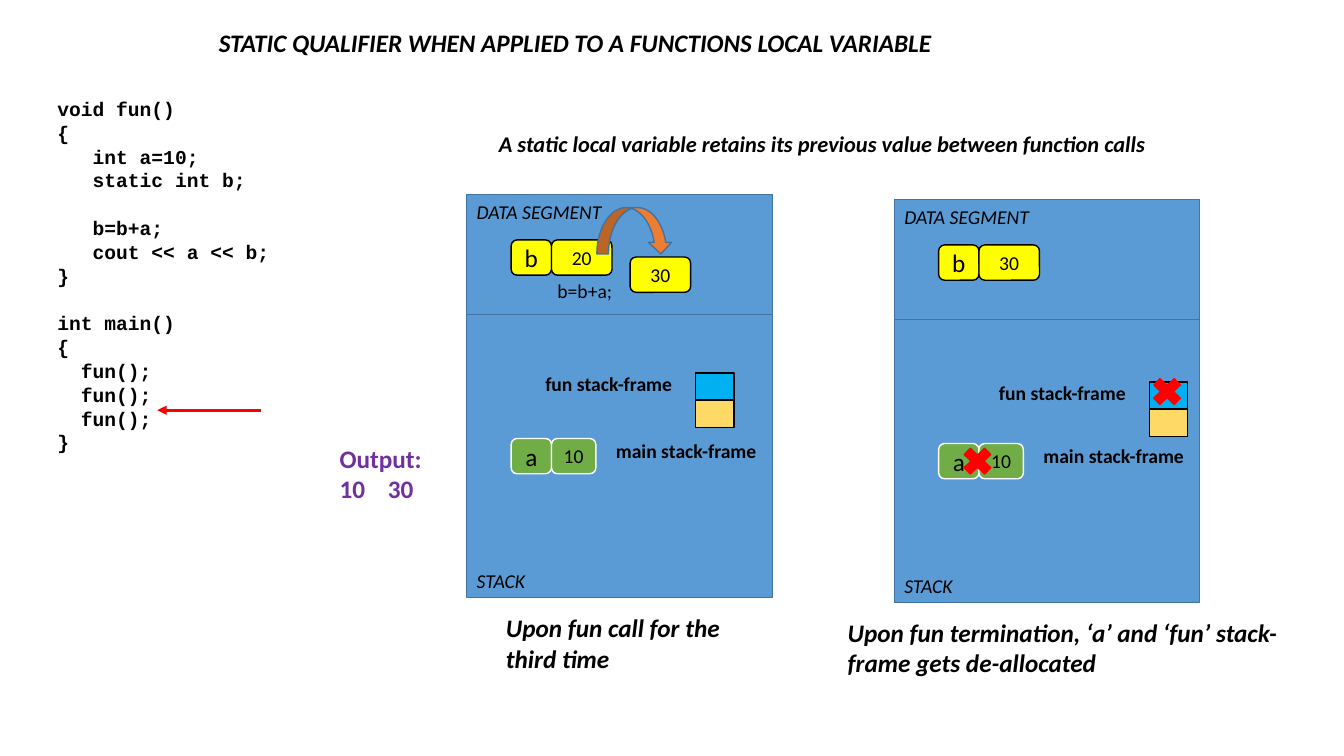
from dataclasses import dataclass

from lxml import etree
from pptx import Presentation
from pptx.dml.color import RGBColor
from pptx.enum.shapes import MSO_CONNECTOR, MSO_SHAPE
from pptx.enum.text import MSO_ANCHOR, PP_ALIGN
from pptx.oxml.ns import qn
from pptx.util import Inches, Pt

RECT, ROUND = MSO_SHAPE.RECTANGLE, MSO_SHAPE.ROUNDED_RECTANGLE
CROSS, CURVED = MSO_SHAPE.MATH_MULTIPLY, MSO_SHAPE.CURVED_DOWN_ARROW
STRAIGHT = MSO_CONNECTOR.STRAIGHT
TOP, MIDDLE = MSO_ANCHOR.TOP, MSO_ANCHOR.MIDDLE
LEFT, CENTER = PP_ALIGN.LEFT, PP_ALIGN.CENTER


@dataclass(frozen=True)
class Theme:
    sans: str = "Calibri"
    mono: str = "Courier New"
    large: int = 18
    medium: int = 16
    small: int = 14
    code_line: int = 17
    black: str = "000000"
    white: str = "FFFFFF"
    memory: str = "5B9BD5"
    edge: str = "43739E"
    static: str = "FFFF00"
    local: str = "70AD47"
    fun_frame: str = "00B0F0"
    main_frame: str = "FFD966"
    change: str = "ED7D31"
    alert: str = "FF0000"
    output: str = "7030A0"


THEME = Theme()
COLUMNS, ROWS = 13.33, 7.5
CELL = Inches(1)

TITLE = "STATIC QUALIFIER WHEN APPLIED TO A FUNCTIONS LOCAL VARIABLE"
RULE = "A static local variable retains its previous value between function calls"
CODE_BLOCKS = [
    ["void fun()", "{", "   int a=10;", "   static int b;"],
    ["   b=b+a;", "   cout << a << b;", "}"],
    ["int main()", "{", "  fun();", "  fun();", "  fun();", "}"],
]
OUTPUT = ["Output:", "10\t30"]
PANELS = [
    {"origin": (4.63, 1.93), "b": "20", "a": "10", "frame": (2.27, 1.77),
     "caption": "Upon fun call for the third time", "caption_at": (4.92, 6.03, 2.39, 0.71)},
    {"origin": (8.87, 1.98), "b": "30", "a": "10", "frame": (2.53, 1.81),
     "caption": "Upon fun termination, ‘a’ and ‘fun’ stack-frame gets de-allocated",
     "caption_at": (8.31, 6.07, 4.5, 0.71)},
]
PANEL_WIDTH, DATA_HEIGHT, STACK_HEIGHT = 3.03, 1.19, 2.81
LABEL_HEIGHT = 0.34
NAME_WIDTH, VALUE_HEIGHT = 0.4, 0.35
STATIC_WIDTH, LOCAL_WIDTH = 0.6, 0.44
FRAME_WIDTH, FRAME_HEIGHT = 0.38, 0.27
CROSS_SIZE = (0.39, 0.37)

deck = Presentation()
deck.slide_width, deck.slide_height = Inches(COLUMNS), Inches(ROWS)
page = deck.slides.add_slide(deck.slide_layouts[5])


def place(*cells):
    return [round(cell * CELL) for cell in cells]


def style(font, color=THEME.black, **formats):
    defaults = {"name": THEME.sans, "size": THEME.small, "bold": False, "italic": False}
    for key, value in (defaults | formats).items():
        setattr(font, key, Pt(value) if key == "size" else value)
    font.color.rgb = RGBColor.from_string(color)


def write(holder, lines, anchor=TOP, align=LEFT, wrap=True, **formats):
    frame = holder.text_frame
    frame.word_wrap, frame.vertical_anchor = wrap, anchor
    for index, line in enumerate(lines):
        para = frame.paragraphs[0] if index == 0 else frame.add_paragraph()
        para.alignment = align
        span = para.add_run()
        span.text = line
        style(span.font, **formats)
    return frame.paragraphs


def label(at, *lines, **formats):
    return write(page.shapes.add_textbox(*place(*at)), lines, **formats)


def draw(kind, at, fill, line=THEME.black):
    shape = page.shapes.add_shape(kind, *place(*at))
    shape.shadow.inherit = False
    shape.fill.solid()
    shape.fill.fore_color.rgb = RGBColor.from_string(fill)
    shape.line.color.rgb = RGBColor.from_string(line)
    shape.line.width = Pt(1)
    return shape


def value_box(left, top, width, text, fill, line, size=THEME.small):
    box = draw(ROUND, (left, top, width, VALUE_HEIGHT), fill, line)
    write(box, [text], anchor=MIDDLE, align=CENTER, wrap=False, size=size)


def variable(left, top, name, value, width, fill, line):
    value_box(left, top, NAME_WIDTH, name, fill, line, THEME.large)
    value_box(left + NAME_WIDTH, top, width, value, fill, line)


def memory_panel(panel):
    left, top = panel["origin"]
    stack_top = top + DATA_HEIGHT
    bottom = stack_top + STACK_HEIGHT
    draw(RECT, (left, top, PANEL_WIDTH, DATA_HEIGHT), THEME.memory, THEME.edge)
    draw(RECT, (left, stack_top, PANEL_WIDTH, STACK_HEIGHT), THEME.memory, THEME.edge)
    label((left, top, 1.69, LABEL_HEIGHT), "DATA SEGMENT", italic=True)
    label((left, bottom - LABEL_HEIGHT, 1.69, LABEL_HEIGHT), "STACK", italic=True)
    variable(left + 0.44, top + 0.45, "b", panel["b"], STATIC_WIDTH, THEME.static, THEME.black)
    variable(left + 0.44, top + 2.42, "a", panel["a"], LOCAL_WIDTH, THEME.local, THEME.white)
    frame_left, frame_top = left + panel["frame"][0], top + panel["frame"][1]
    for row, fill in enumerate([THEME.fun_frame, THEME.main_frame]):
        draw(RECT, (frame_left, frame_top + row * FRAME_HEIGHT, FRAME_WIDTH, FRAME_HEIGHT), fill)
    label((frame_left - 1.59, frame_top - 0.06, 1.83, LABEL_HEIGHT), "fun stack-frame", bold=True)
    label((left + 1.38, top + 2.38, 1.83, LABEL_HEIGHT), "main stack-frame", bold=True)
    label(panel["caption_at"], panel["caption"], size=THEME.large, bold=True, italic=True)


def code_listing():
    lines = [line for block in CODE_BLOCKS for line in block]
    paras = label((0.47, 0.91, 2.8, 3.64), *lines, name=THEME.mono, bold=True)
    for para in paras:
        para.line_spacing = Pt(THEME.code_line)
    start = 0
    for block in CODE_BLOCKS[:-1]:
        start += len(block)
        paras[start].space_before = Pt(THEME.code_line)


def call_arrow():
    arrow = page.shapes.add_connector(STRAIGHT, *place(2.59, 4.07, 1.56, 4.07))
    arrow.line.color.rgb = RGBColor.from_string(THEME.alert)
    arrow.line.width = Pt(2.25)
    etree.SubElement(arrow.line._get_or_add_ln(), qn("a:tailEnd"), type="triangle")
    etree.SubElement(arrow._element.spPr, qn("a:effectLst"))


def output_text():
    paras = label((3.27, 4.35, 1.26, 0.71), *OUTPUT,
                  size=THEME.large, bold=True, color=THEME.output)
    tabs = etree.SubElement(paras[1]._p.get_or_add_pPr(), qn("a:tabLst"))
    etree.SubElement(tabs, qn("a:tab"), pos=str(Inches(0.48)), algn="l")


title = page.shapes.title
title.left, title.top, title.width, title.height = place(2.07, 0.22, 7.43, 0.4)
write(title, [TITLE], size=THEME.large, bold=True, italic=True)
code_listing()
call_arrow()
output_text()
label((4.85, 1.24, 6.69, 0.37), RULE, size=THEME.medium, bold=True, italic=True)
for memory in PANELS:
    memory_panel(memory)
for corner in [(11.38, 3.7), (9.5, 4.39)]:
    draw(CROSS, corner + CROSS_SIZE, THEME.alert, THEME.alert)
value_box(6.25, 2.55, STATIC_WIDTH, "30", THEME.static, THEME.black)
draw(CURVED, (5.92, 2.06, 0.75, 0.46), THEME.change, THEME.edge)
label((5.43, 2.72, 0.94, LABEL_HEIGHT), "b=b+a;")

deck.save("out.pptx")
